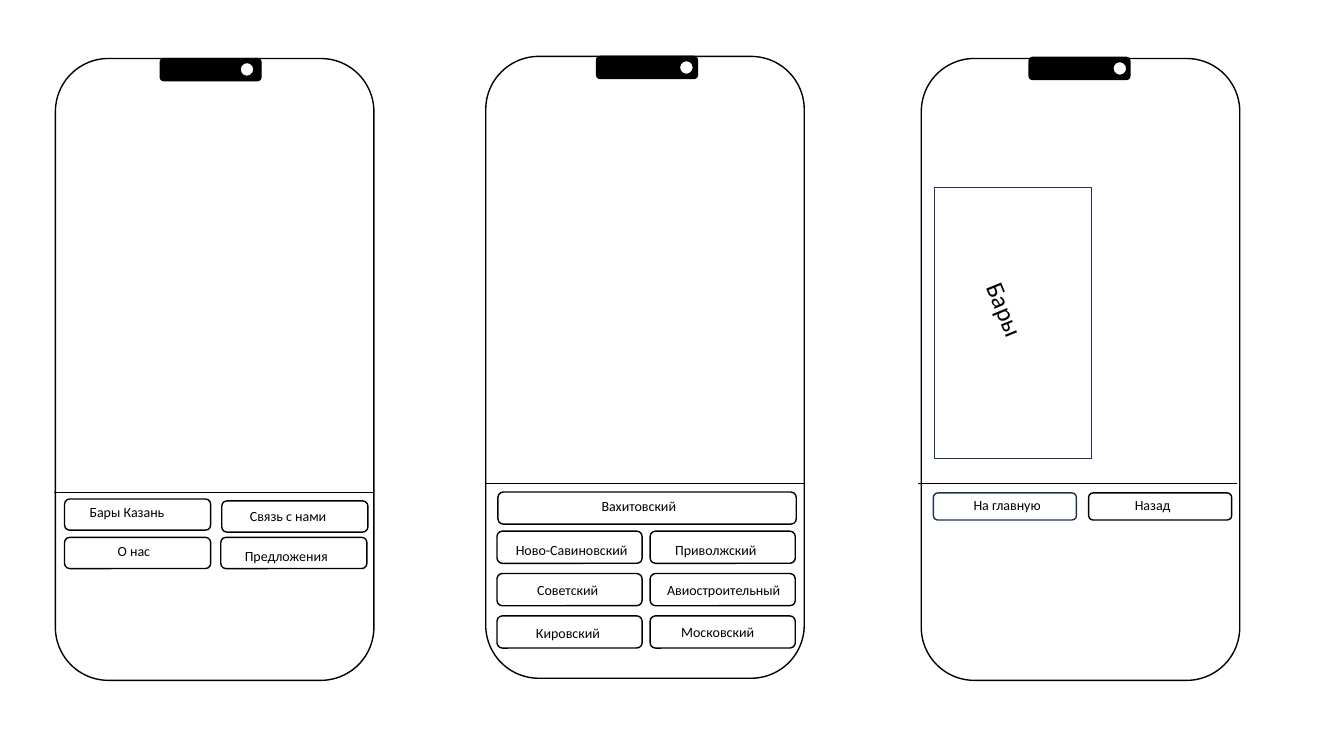
"""Builds a slide with three phone screens of a bar guide for Kazan."""
from lxml.etree import SubElement
from pptx import Presentation
from pptx.dml.color import RGBColor
from pptx.enum.shapes import MSO_CONNECTOR, MSO_SHAPE
from pptx.enum.text import MSO_AUTO_SIZE
from pptx.oxml.ns import qn
from pptx.util import Pt

BLACK, WHITE, NAVY = "000000", "FFFFFF", "1E3256"
FONT = "Calibri"
PHONE_SIZE, NOTCH_SIZE, CAMERA_SIZE = (227.5, 444.2), (72, 15.8), (10, 10)
LABEL_HEIGHT = 19.4

# Each phone: corner, divider start, notch corner, camera corner
PHONES = [
    ((39.6, 41.8), (38.9, 351.4), (114.5, 41.8), (171.4, 44.6)),
    ((347, 40.3), (347, 345.6), (426.2, 40.3), (485.3, 43.2)),
    ((658.1, 41.8), (655.9, 345.6), (735.1, 41), (794.9, 43.9)),
]

# Each button: label, corner, size, label offset, label width, outline
MENU_SIZE, BACK_SIZE = (104.4, 22.3), (102.2, 19.4)
BUTTONS = [
    ("Бары Казань", (46.1, 356.4), MENU_SIZE, (10.8, 0), 104.4, BLACK),
    ("Связь с нами", (158.4, 357.8), MENU_SIZE, (13, 1.5), 75.6, BLACK),
    ("О нас", (46.1, 383.8), MENU_SIZE, (30.9, 0), 104.4, BLACK),
    ("Предложения", (157.7, 383.8), MENU_SIZE, (10.1, 3.6), 97.9, BLACK),
    ("Вахитовский", (355.7, 351.4), (213.1, 23), (66.9, 0.7), 187.9, BLACK),
    ("На главную", (666.7, 352.1), BACK_SIZE, (21.6, -0.7), 91.4, NAVY),
    ("Назад", (777.6, 352.1), BACK_SIZE, (25.9, -0.7), 91.4, BLACK),
]

# District grid: label, label offset, label width, two to a row
DISTRICTS = [
    ("Ново-Савиновский", (6.4, 3.6), 110.9),
    ("Приволжский", (10.8, 3.6), 95.8),
    ("Советский", (21.6, 2.1), 96.5),
    ("Авиостроительный", (5, 2.1), 102.2),
    ("Кировский", (20.8, 2.9), 103.7),
    ("Московский", (15.1, 2.2), 95),
]
GRID_CORNER, GRID_STEP, DISTRICT_SIZE = (355, 379.4), (109.4, 30.25), (103.7, 23)

POSTER = ((667.4, 133.9), (112.3, 193.7))
POSTER_LABEL = ("Бары", (679, 224.6), (92.9, 28.8), 18, 67.8)


def color(value):
    return RGBColor.from_string(value)


def add_box(slide, kind, corner, size, fill=WHITE, outline=BLACK):
    shape = slide.shapes.add_shape(kind, *map(Pt, corner + size))
    shape.shadow.inherit = False
    shape.fill.solid()
    shape.fill.fore_color.rgb = color(fill)
    shape.line.color.rgb = color(outline)
    shape.line.width = Pt(1)


def add_label(slide, text, corner, size, font_size=10, rotation=0):
    box = slide.shapes.add_textbox(*map(Pt, corner + size))
    box.rotation = rotation
    frame = box.text_frame
    frame.word_wrap = True
    frame.auto_size = MSO_AUTO_SIZE.SHAPE_TO_FIT_TEXT
    run = frame.paragraphs[0].add_run()
    run.text = text
    run.font.name = FONT
    run.font.size = Pt(font_size)
    run.font.color.rgb = color(BLACK)


def add_divider(slide, start):
    left, top = start
    line = slide.shapes.add_connector(
        MSO_CONNECTOR.STRAIGHT, Pt(left), Pt(top), Pt(left + PHONE_SIZE[0]), Pt(top))
    line.line.color.rgb = color(BLACK)
    line.line.width = Pt(0.5)
    SubElement(line._element.spPr, qn("a:effectLst"))


def add_button(slide, text, corner, size, offset, label_width, outline=BLACK):
    add_box(slide, MSO_SHAPE.ROUNDED_RECTANGLE, corner, size, outline=outline)
    label_corner = (corner[0] + offset[0], corner[1] + offset[1])
    add_label(slide, text, label_corner, (label_width, LABEL_HEIGHT))


def main():
    presentation = Presentation()
    presentation.slide_width, presentation.slide_height = Pt(960), Pt(540)
    slide = presentation.slides.add_slide(presentation.slide_layouts[6])

    for corner, divider, notch, camera in PHONES:
        add_box(slide, MSO_SHAPE.ROUNDED_RECTANGLE, corner, PHONE_SIZE)
        add_divider(slide, divider)
        add_box(slide, MSO_SHAPE.ROUNDED_RECTANGLE, notch, NOTCH_SIZE, fill=BLACK)
        add_box(slide, MSO_SHAPE.OVAL, camera, CAMERA_SIZE)

    for button in BUTTONS:
        add_button(slide, *button)

    for index, (text, offset, label_width) in enumerate(DISTRICTS):
        row, column = divmod(index, 2)
        corner = (GRID_CORNER[0] + column * GRID_STEP[0],
                  GRID_CORNER[1] + row * GRID_STEP[1])
        add_button(slide, text, corner, DISTRICT_SIZE, offset, label_width)

    add_box(slide, MSO_SHAPE.RECTANGLE, *POSTER, outline=NAVY)
    add_label(slide, *POSTER_LABEL)
    presentation.save("out.pptx")


if __name__ == "__main__":
    main()
